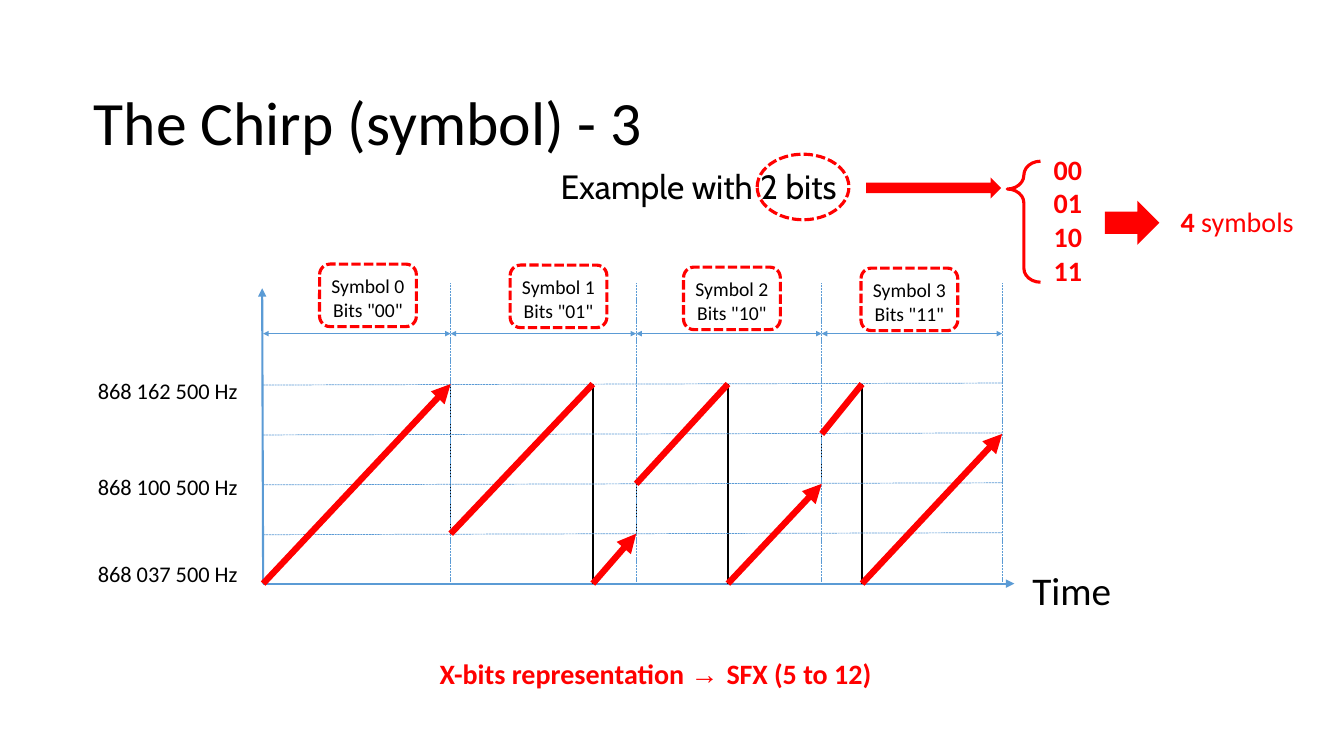
import dataclasses

import pptx
import pptx.dml.color
import pptx.enum.dml
import pptx.enum.shapes
import pptx.enum.text
import pptx.oxml
import pptx.oxml.ns
import pptx.util

Inches = pptx.util.Inches
Pt = pptx.util.Pt
RGB = pptx.dml.color.RGBColor.from_string
SHAPE = pptx.enum.shapes.MSO_SHAPE
ALIGN = pptx.enum.text.PP_ALIGN
ANCHOR = pptx.enum.text.MSO_ANCHOR
DASH = pptx.enum.dml.MSO_LINE.SQUARE_DOT


@dataclasses.dataclass(frozen=True)
class Theme:
    black: str = "000000"
    red: str = "FF0000"
    blue: str = "5B9BD5"
    font: str = "Calibri"
    example_font: str = "Cabin"
    symbol_font: str = "Arial"
    title: int = 44
    axis: int = 28
    example: int = 24
    result: int = 20
    tick: int = 16
    symbol: int = 14


T = Theme()


def set_font(p, size, color=T.black, name=T.font, bold=False):
    p.font.size = Pt(size)
    p.font.name = name
    p.font.bold = bold
    p.font.color.rgb = RGB(color)


def text(s, x, y, w, h, lines, size, **font):
    """Add one paragraph per line and return the paragraphs."""
    tf = s.shapes.add_textbox(Inches(x), Inches(y), Inches(w), Inches(h)).text_frame
    tf.word_wrap = True
    tf.margin_left = Inches(0.01)
    tf.margin_right = tf.margin_bottom = 0
    tf.margin_top = Inches(0.02)
    tf.text = "\n".join(lines)
    for p in tf.paragraphs:
        set_font(p, size, **font)
    return tf.paragraphs


def line(s, x1, y1, x2, y2, color, width, dashed=False, ends="", size="med"):
    """Draw a straight line; ends names the arrowheads, headEnd and tailEnd."""
    c = s.shapes.add_connector(pptx.enum.shapes.MSO_CONNECTOR.STRAIGHT,
                               Inches(x1), Inches(y1), Inches(x2), Inches(y2))
    c.line.color.rgb = RGB(color)
    c.line.width = Pt(width)
    if dashed:
        c.line.dash_style = DASH
    ln = c.line._get_or_add_ln()
    for end in ends.split():
        arrow = pptx.oxml.parse_xml(
            f'<a:{end} {pptx.oxml.ns.nsdecls("a")} type="triangle" w="{size}" len="{size}"/>')
        ln.append(arrow)
    c._element.spPr.append(
        pptx.oxml.parse_xml(f'<a:effectLst {pptx.oxml.ns.nsdecls("a")}/>'))


def shape(s, kind, x, y, w, h, filled=False, dashed=False):
    """Add a red shape, either filled or outlined."""
    sp = s.shapes.add_shape(kind, Inches(x), Inches(y), Inches(w), Inches(h))
    sp.shadow.inherit = False
    if filled:
        sp.fill.solid()
        sp.fill.fore_color.rgb = RGB(T.red)
        sp.line.fill.background()
    else:
        sp.fill.background()
        sp.line.color.rgb = RGB(T.red)
        sp.line.width = Pt(2.25)
        if dashed:
            sp.line.dash_style = DASH
    return sp


def title(s, x, y, w, h):
    sp = s.shapes.title
    sp.left, sp.top, sp.width, sp.height = (Inches(v) for v in (x, y, w, h))
    tf = sp.text_frame
    tf.text = "The Chirp (symbol) - 3"
    tf.vertical_anchor = ANCHOR.MIDDLE
    tf.margin_left = Inches(0.01)
    tf.margin_right = tf.margin_bottom = 0
    tf.margin_top = Inches(0.15)
    p = tf.paragraphs[0]
    p.alignment = ALIGN.LEFT
    set_font(p, T.title)


def symbol_label(s, x, y, w, h, number):
    sp = shape(s, SHAPE.ROUNDED_RECTANGLE, x, y, w, h, dashed=True)
    tf = sp.text_frame
    tf.margin_left = tf.margin_right = tf.margin_bottom = 0
    tf.margin_top = Inches(0.05)
    tf.vertical_anchor = ANCHOR.MIDDLE
    tf.text = f'Symbol {number}\nBits "{number:02b}"'
    for p in tf.paragraphs:
        p.alignment = ALIGN.CENTER
        set_font(p, T.symbol)


def chirp_plot(s, x, y, w, h):
    """Plot frequency against time for the four symbols."""
    bottom, right = y + h, x + w
    edges = [x + dx for dx in (0, 1.86, 3.7, 5.54)] + [right]
    wraps = [x + dx for dx in (3.27, 4.61, 5.94)]
    levels = [bottom - h * i / 4 for i in range(5)]
    label_at = ((0.56, -1.19), (2.45, -1.18), (4.17, -1.16), (5.93, -1.15))

    line(s, x, bottom, x - 0.01, y - 0.95, T.blue, 1.5, ends="tailEnd")
    line(s, x, bottom, right + 0.12, bottom, T.blue, 1.5, ends="tailEnd")
    text(s, right + 0.29, bottom - 0.19, 1, 0.49, ["Time"], T.axis)
    for dy, khz in ((-0.09, "162"), (0.86, "100"), (1.73, "037")):
        text(s, x - 1.65, y + dy, 1.55, 0.29, [f"868 {khz} 500 Hz"], T.tick)

    for wrap in wraps:
        line(s, wrap, bottom, wrap, y, T.black, 1)
    for edge, before, after in zip(edges[1:], (4, 1, 2), (1, 2, 3)):
        line(s, edge, levels[before], edge, levels[after], T.black, 1)
    for level in levels[1:]:
        line(s, x, level + 0.01, right, level - 0.01, T.blue, 0.5, dashed=True)
    for edge in edges[1:]:
        line(s, edge, bottom - 0.02, edge, y - 1, T.blue, 0.5, dashed=True)
    for start, end in zip(edges, edges[1:]):
        line(s, start, y - 0.5, end, y - 0.5, T.blue, 1,
             ends="headEnd tailEnd", size="sm")

    line(s, x, bottom, edges[1], y, T.red, 4.5, ends="tailEnd")
    for i, wrap in enumerate(wraps, 1):
        line(s, edges[i], levels[i], wrap, y, T.red, 4.5)
        line(s, wrap, bottom, edges[i + 1], levels[i], T.red, 4.5, ends="tailEnd")
    for number, (dx, dy) in enumerate(label_at):
        symbol_label(s, x + dx, y + dy, 0.96, 0.62, number)


def example(s, x, y):
    """Lead from the two bits to the four symbols."""
    text(s, x, y + 0.1, 2.95, 0.43, ["Example with 2 bits"], T.example,
         name=T.example_font)
    shape(s, SHAPE.OVAL, x + 1.96, y, 0.91, 0.65, dashed=True)
    shape(s, SHAPE.RIGHT_ARROW, x + 3.04, y + 0.23, 1.34, 0.21, filled=True)
    brace = shape(s, SHAPE.LEFT_BRACE, x + 4.44, y + 0.07, 0.33, 1.2)
    brace.adjustments[0], brace.adjustments[1] = 0.42, 0.23
    text(s, x + 4.89, y - 0.04, 0.45, 1.37, [f"{i:02b}" for i in range(4)],
         T.result, color=T.red, bold=True)
    shape(s, SHAPE.RIGHT_ARROW, x + 5.41, y + 0.46, 0.54, 0.44, filled=True)
    p = text(s, x + 6.15, y + 0.48, 1.3, 0.36, [""], T.result, color=T.red)[0]
    r = p.add_run()
    r.text = "4 "
    r.font.bold = True
    p.add_run().text = "symbols"


def conclusion(s, x, y, w, h):
    p = text(s, x, y, w, h, [""], T.result, color=T.red, bold=True)[0]
    for part in ("X-bits representation ", "→ ", "SFX (5 to 12)"):
        r = p.add_run()
        r.text = part
        if part == "→ ":
            r.font.name = T.symbol_font
            r.font.bold = False


def main():
    prs = pptx.Presentation()
    prs.slide_width, prs.slide_height = Inches(13.33), Inches(7.5)
    s = prs.slides.add_slide(prs.slide_layouts[5])
    title(s, 0.92, 0.4, 11.5, 1.45)
    chirp_plot(s, 2.61, 3.81, 7.33, 1.98)
    example(s, 5.55, 1.53)
    conclusion(s, 4.35, 6.49, 4.5, 0.36)
    prs.save("out.pptx")


if __name__ == "__main__":
    main()
